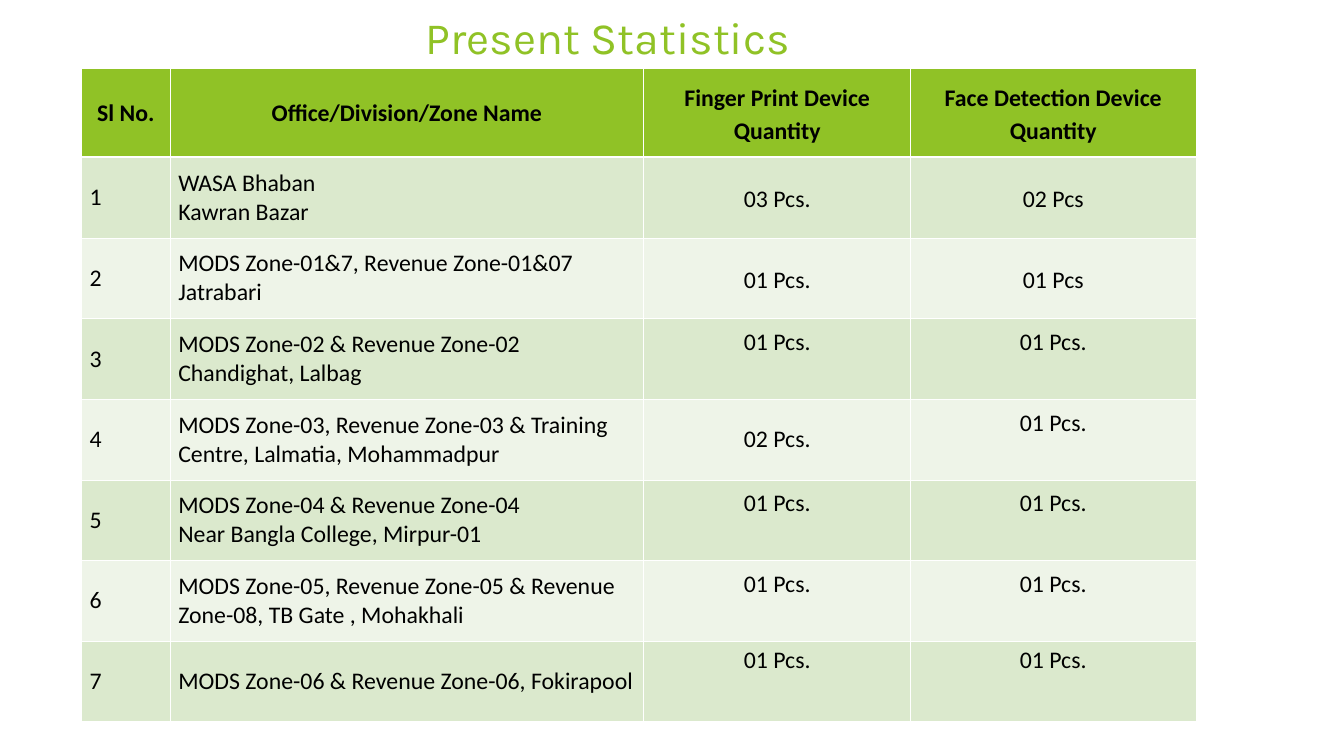
from lxml.etree import SubElement
from pptx import Presentation
from pptx.dml.color import RGBColor
from pptx.enum.text import MSO_ANCHOR, PP_ALIGN
from pptx.oxml.ns import qn
from pptx.util import Emu, Pt

PX = 9144  # EMU in one px, 100 px to the inch
COLORS = {"green": "90C226", "odd": "DBE9CD", "even": "EEF4E8",
          "text": "000000", "border": "FFFFFF"}

COLUMNS = [88, 470, 265, 283]
HEADER_HEIGHT, ROW_HEIGHT = 88, 80
HEADER = ["Sl No.", "Office/Division/Zone Name",
          "Finger Print Device Quantity", "Face Detection Device Quantity"]
# Office lines, finger print quantity, face detection quantity
OFFICES = [
    (["WASA Bhaban", "Kawran Bazar"], "03 Pcs.", "02 Pcs"),
    (["MODS Zone-01&7, Revenue Zone-01&07", "Jatrabari"], "01 Pcs.", "01 Pcs"),
    (["MODS Zone-02 & Revenue Zone-02", "Chandighat, Lalbag"], "01 Pcs.", "01 Pcs."),
    (["MODS Zone-03, Revenue Zone-03 & Training Centre, Lalmatia, Mohammadpur"],
     "02 Pcs.", "01 Pcs."),
    (["MODS Zone-04 & Revenue Zone-04", "Near Bangla College, Mirpur-01"],
     "01 Pcs.", "01 Pcs."),
    (["MODS Zone-05, Revenue Zone-05 & Revenue Zone-08, TB Gate , Mohakhali"],
     "01 Pcs.", "01 Pcs."),
    (["MODS Zone-06 & Revenue Zone-06, Fokirapool"], "01 Pcs.", "01 Pcs."),
]
SINGLE_SPACED = {(4, 2), (7, 2), (7, 3)}
TOP_ANCHORED = {(row, col) for row in range(3, 8) for col in (2, 3)} - {(4, 2)}


class SlideBuilder:
    def __init__(self, slide):
        self.slide = slide

    def color(self, name):
        return RGBColor.from_string(COLORS[name])

    def run(self, p, text, font, size, color, bold=False):
        r = p.add_run()
        r.text = text
        r.font.name = font
        r.font.size = Pt(size)
        r.font.bold = bold
        r.font.color.rgb = self.color(color)

    def title(self, text, x, y, w, h):
        s = self.slide.shapes.add_textbox(*(Emu(v * PX) for v in (x, y, w, h)))
        tf = s.text_frame
        tf.word_wrap = True
        tf.vertical_anchor = MSO_ANCHOR.MIDDLE
        self.run(tf.paragraphs[0], text, "Karla", 32, "green")

    def table(self, x, y, columns, heights):
        s = self.slide.shapes.add_table(
            len(heights), len(columns), Emu(x * PX), Emu(y * PX),
            Emu(sum(columns) * PX), Emu(sum(heights) * PX))
        for column, width in zip(s.table.columns, columns):
            column.width = Emu(width * PX)
        for row, height in zip(s.table.rows, heights):
            row.height = Emu(height * PX)
        return s.table

    def borders(self, cell, top, bottom):
        tcPr = cell._tc.get_or_add_tcPr()
        widths = {"a:lnL": 0.45, "a:lnR": 0.45, "a:lnT": top, "a:lnB": bottom}
        for position, (tag, width) in enumerate(widths.items()):
            ln = tcPr.makeelement(qn(tag), {"w": str(Pt(width))})
            fill = SubElement(ln, qn("a:solidFill"))
            SubElement(fill, qn("a:srgbClr"), val=COLORS["border"])
            tcPr.insert(position, ln)

    def cell(self, cell, lines, fill, bold, centered, loose, anchor):
        cell.fill.solid()
        cell.fill.fore_color.rgb = self.color(fill)
        cell.vertical_anchor = anchor
        cell.margin_left = cell.margin_right = Emu(8 * PX)
        cell.margin_top = cell.margin_bottom = Emu(5 * PX)
        tf = cell.text_frame
        for i, line in enumerate(lines):
            p = tf.add_paragraph() if i else tf.paragraphs[0]
            p.alignment = PP_ALIGN.CENTER if centered else PP_ALIGN.LEFT
            if loose:
                p.line_spacing = 1.15
                p.space_after = Pt(10)
            self.run(p, line, "Calibri", 17, "text", bold)


def main():
    prs = Presentation()
    prs.slide_width, prs.slide_height = Emu(1334 * PX), Emu(750 * PX)
    builder = SlideBuilder(prs.slides.add_slide(prs.slide_layouts[6]))

    # Title
    builder.title("Present Statistics", 413, 7, 523, 59)

    # Device table
    table = builder.table(81, 68, COLUMNS,
                          [HEADER_HEIGHT] + [ROW_HEIGHT] * len(OFFICES))
    rows = [[[label] for label in HEADER]]
    for number, (office, finger, face) in enumerate(OFFICES, 1):
        rows.append([[str(number)], office, [finger], [face]])

    for row, contents in enumerate(rows):
        is_header = row == 0
        fill = "green" if is_header else "odd" if row % 2 else "even"
        for col, lines in enumerate(contents):
            cell = table.cell(row, col)
            is_quantity = col >= 2
            builder.cell(
                cell, lines, fill, bold=is_header,
                centered=is_header or is_quantity,
                loose=is_quantity and (row, col) not in SINGLE_SPACED,
                anchor=MSO_ANCHOR.TOP if (row, col) in TOP_ANCHORED
                else MSO_ANCHOR.MIDDLE)
            builder.borders(cell, top=1.47 if row == 1 else 0.45,
                            bottom=1.47 if is_header else 0.45)

    prs.save("out.pptx")


if __name__ == "__main__":
    main()
